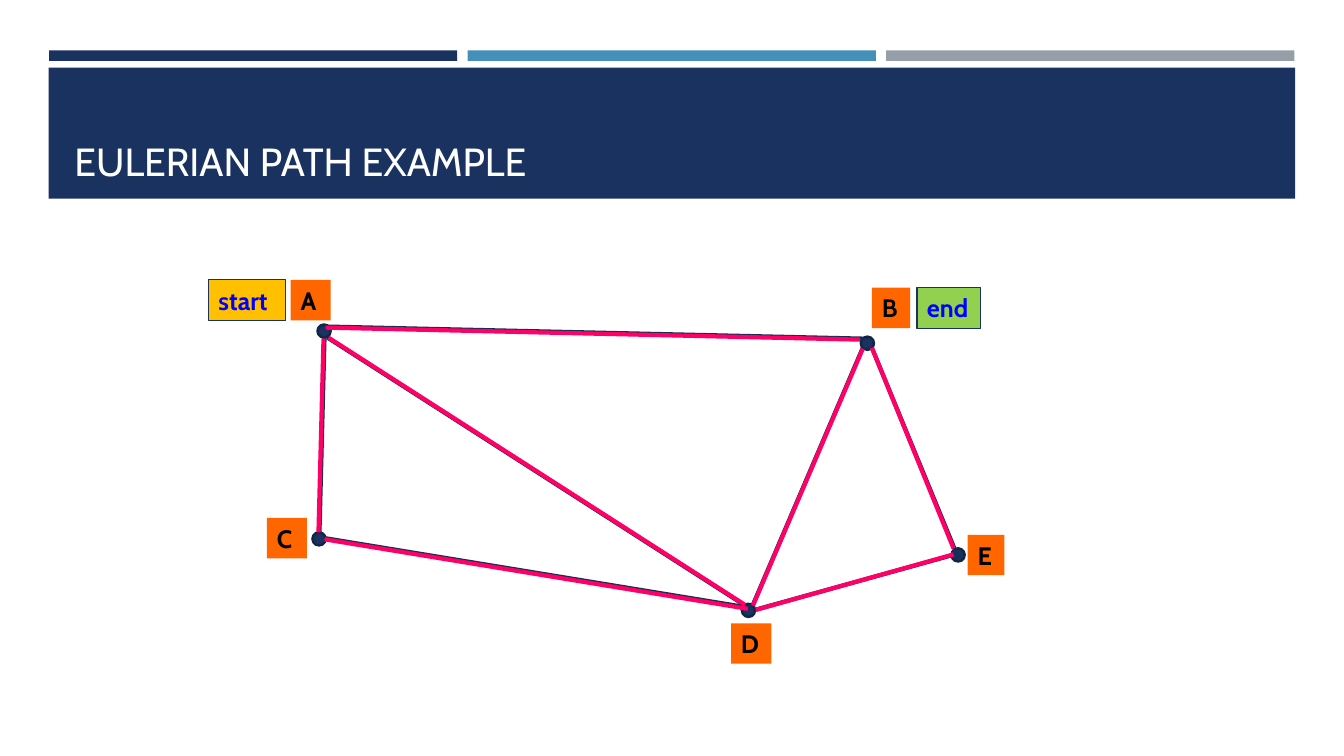
from lxml import etree
from pptx import Presentation
from pptx.dml.color import RGBColor
from pptx.enum.shapes import MSO_CONNECTOR, MSO_SHAPE
from pptx.enum.text import MSO_ANCHOR, MSO_AUTO_SIZE, PP_ALIGN
from pptx.oxml.ns import qn
from pptx.util import Pt

RECTANGLE = MSO_SHAPE.RECTANGLE
OVAL = MSO_SHAPE.OVAL
STRAIGHT = MSO_CONNECTOR.STRAIGHT
LEFT = PP_ALIGN.LEFT
MIDDLE = MSO_ANCHOR.MIDDLE
BOTTOM = MSO_ANCHOR.BOTTOM
NO_AUTOFIT = MSO_AUTO_SIZE.NONE

NAVY, ORANGE, PINK = "1A3260", "FF6600", "FF0066"
BLACK, BLUE, WHITE = "000000", "0000FF", "FFFFFF"
DOT_SIZE = 9.4
LABEL_HEIGHT = 28.9


def color(hex_string):
    return RGBColor.from_string(hex_string)


class GraphSlide:
    font_name = "Cabin"

    def __init__(self, presentation):
        layout = presentation.slide_layouts.get_by_name("Title Only")
        self.slide = presentation.slides.add_slide(layout)
        self.shapes = self.slide.shapes

    def style_text(self, shape, text, size, text_color, bold, anchor):
        frame = shape.text_frame
        frame.text = text
        frame.word_wrap = True
        frame.auto_size = NO_AUTOFIT
        frame.vertical_anchor = anchor
        paragraph = frame.paragraphs[0]
        paragraph.alignment = LEFT
        font = paragraph.font
        font.name, font.size, font.bold = self.font_name, Pt(size), bold
        font.color.rgb = color(text_color)

    def title(self, text, left, top, width, height):
        title = self.shapes.title
        title.left, title.top = Pt(left), Pt(top)
        title.width, title.height = Pt(width), Pt(height)
        self.style_text(title, text, 28, WHITE, False, BOTTOM)

    def box(self, kind, left, top, width, height, fill, line=None, weight=0.75):
        shape = self.shapes.add_shape(kind, Pt(left), Pt(top), Pt(width), Pt(height))
        shape.shadow.inherit = False
        shape.fill.solid()
        shape.fill.fore_color.rgb = color(fill)
        if line:
            shape.line.color.rgb = color(line)
            shape.line.width = Pt(weight)
        else:
            shape.line.fill.background()
        return shape

    def label(self, text, left, top, width, fill, text_color=BLACK, line=None):
        shape = self.box(RECTANGLE, left, top, width, LABEL_HEIGHT, fill, line)
        self.style_text(shape, text, 18, text_color, True, MIDDLE)
        shape.text_frame.margin_right = 0

    def dot(self, left, top):
        self.box(OVAL, left, top, DOT_SIZE, DOT_SIZE, NAVY, "132547", 1.75)

    def edge(self, points, line):
        connector = self.shapes.add_connector(STRAIGHT, *map(Pt, points))
        connector.line.color.rgb = color(line)
        connector.line.width = Pt(3)
        etree.SubElement(connector.element.spPr, qn("a:effectLst"))


def main():
    presentation = Presentation()
    presentation.slide_width, presentation.slide_height = Pt(960), Pt(540)
    graph = GraphSlide(presentation)

    # Header bars and title; the band goes behind the title
    for column, fill in enumerate((NAVY, "4590B8", "969FA7")):
        graph.box(RECTANGLE, 35 + 299 * column, 36, 291.6, 7.5, fill)
    graph.box(RECTANGLE, 34.8, 48.4, 890.4, 93.6, NAVY)
    graph.title("EULERIAN PATH EXAMPLE", 46, 55.4, 868.3, 79.9)
    tree = graph.shapes.title.element.getparent()
    tree.append(graph.shapes.title.element)

    # Vertices
    for left, top in ((226.8, 231.8), (223.2, 380.2), (529.9, 431.3),
                      (614.9, 240.5), (679.7, 391.7)):
        graph.dot(left, top)

    # Graph edges: B-D, D-C, A-C, A-B, A-D, B-E, E-D
    for points in ((616.3, 248.4, 537.8, 432), (535.7, 434.2, 232.6, 384.5),
                   (231.8, 241.2, 228.2, 380.2), (234.7, 233.3, 616.3, 241.9),
                   (234, 241.2, 531.4, 432), (622.8, 248.4, 684.7, 398.9),
                   (679.7, 396.7, 539.3, 435.6)):
        graph.edge(points, "172D56")

    # Start, end and vertex labels
    graph.label("start", 149, 199.8, 55, "FFC000", BLUE, NAVY)
    graph.label("end", 655, 205.5, 45.6, "92D050", BLUE, NAVY)
    for name, left, top, width in (("B", 622.8, 205.5, 27.4), ("A", 207.6, 200, 28.6),
                                   ("C", 190.6, 370, 28.6), ("D", 522.2, 445.2, 28.9),
                                   ("E", 691.2, 382, 26.2)):
        graph.label(name, left, top, width, ORANGE)

    # Eulerian path: A-B, B-D, A-D, A-C, D-C, E-D, B-E
    for points in ((232.6, 234, 614.2, 242.6), (616.3, 249.1, 537.8, 432.7),
                   (234.7, 241.2, 532.1, 432), (231.1, 241.9, 227.5, 380.2),
                   (534.2, 434.9, 231.8, 385.2), (681.1, 396, 540, 435.6),
                   (622.8, 248.4, 681.1, 391.7)):
        graph.edge(points, PINK)

    presentation.save("out.pptx")


if __name__ == "__main__":
    main()
